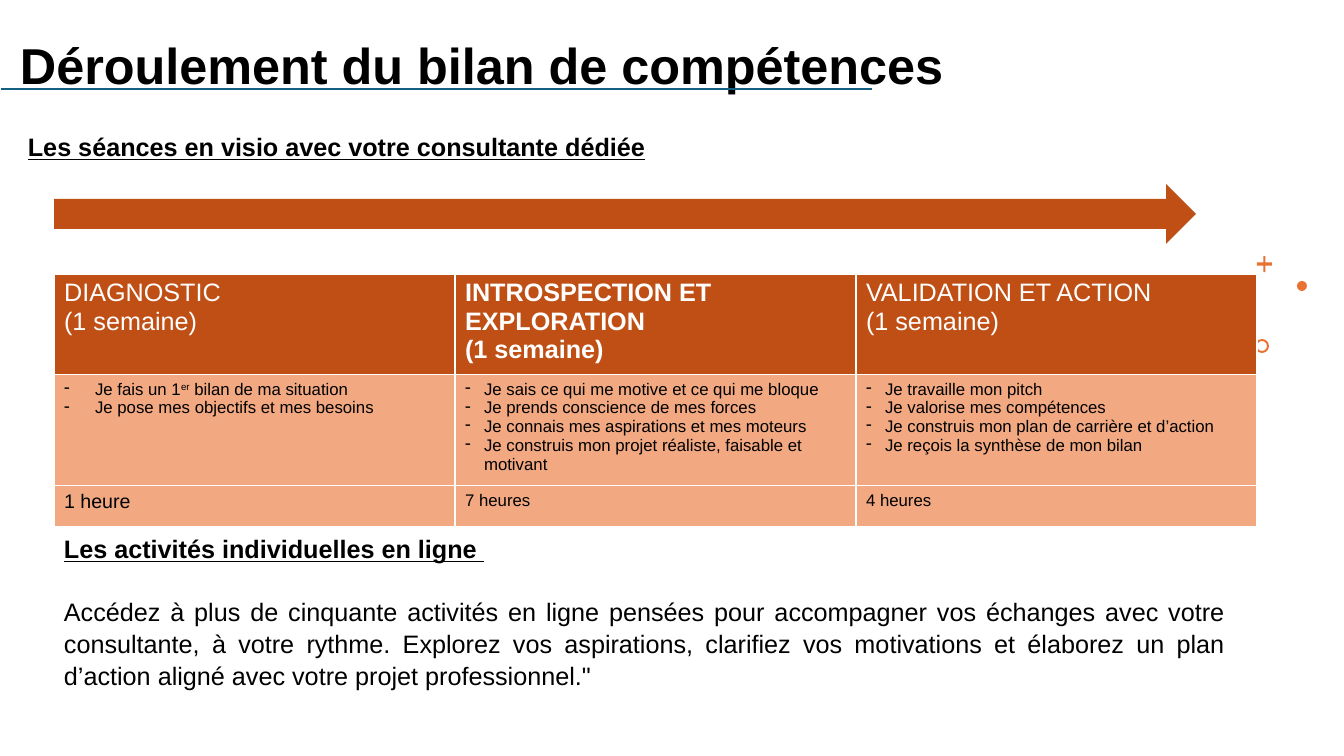
from dataclasses import dataclass

import pptx
import pptx.dml.color
import pptx.enum.shapes
import pptx.enum.text
import pptx.oxml
import pptx.oxml.ns
import pptx.util

SHAPE = pptx.enum.shapes.MSO_SHAPE
ALIGN = pptx.enum.text.PP_ALIGN
ANCHOR = pptx.enum.text.MSO_ANCHOR
EMU_PER_PX = 12192000 / 1344
FONT = "Arial"
BLACK, WHITE = "000000", "FFFFFF"
RUST, PEACH, ORANGE, TEAL = "BF4F14", "F2A982", "E97132", "156082"


@dataclass
class Mark:
    """A filled preset shape."""
    shape: SHAPE
    box: tuple
    color: str
    adjustments: tuple = ()


@dataclass
class Phase:
    """One column of the programme."""
    heading: list
    steps: list
    duration: str
    bold: bool = False
    indent: int = 19
    duration_size: int = 12


MARKS = [
    Mark(SHAPE.CROSS, (1257, 256, 15, 16), ORANGE, (0.43,)),
    Mark(SHAPE.OVAL, (1297, 281, 10, 10), ORANGE),
    Mark(SHAPE.DONUT, (1255, 339, 14, 14), ORANGE, (0.14,)),
    Mark(SHAPE.RIGHT_ARROW, (54, 184, 1142, 60), RUST, (0.5, 0.5)),
]

PHASES = [
    Phase(["DIAGNOSTIC", "(1 semaine)"],
          ["Je fais un 1^er^ bilan de ma situation",
           "Je pose mes objectifs et mes besoins"],
          "1 heure", indent=31, duration_size=14),
    Phase(["INTROSPECTION ET EXPLORATION", "(1 semaine)"],
          ["Je sais ce qui me motive et ce qui me bloque",
           "Je prends conscience de mes forces",
           "Je connais mes aspirations et mes moteurs",
           "Je construis mon projet réaliste, faisable et motivant"],
          "7 heures", bold=True),
    Phase(["VALIDATION ET ACTION", "(1 semaine)"],
          ["Je travaille mon pitch",
           "Je valorise mes compétences",
           "Je construis mon plan de carrière et d’action",
           "Je reçois la synthèse de mon bilan"],
          "4 heures"),
]

ROW_HEIGHTS = (96, 103, 41)
COLUMN_WIDTH = 401


def px(n: int) -> int:
    """Turn px into EMU."""
    return round(n * EMU_PER_PX)


def rgb(color: str) -> pptx.dml.color.RGBColor:
    """Turn a hex string into a colour."""
    return pptx.dml.color.RGBColor.from_string(color)


def fill(target, color: str) -> None:
    """Give a shape or cell a solid fill."""
    target.fill.solid()
    target.fill.fore_color.rgb = rgb(color)


def add_bullet(p, indent: int) -> None:
    """Give a paragraph a hanging dash."""
    pPr = p._p.get_or_add_pPr()
    pPr.set("marL", str(px(indent)))
    pPr.set("indent", str(-px(indent)))
    bullet = pptx.oxml.parse_xml(
        f'<a:buChar {pptx.oxml.ns.nsdecls("a")} char="-"/>')
    pPr.append(bullet)


def write(tf, text: str, *, size: int = 18, color: str = BLACK,
          bold: bool = False, underline: bool = False, align=ALIGN.LEFT,
          spacing: float = 1.0, before: int = 0, indent: int = 0) -> None:
    """Write a paragraph, with superscripts between carets."""
    p = tf.paragraphs[0]
    if p.runs:
        p = tf.add_paragraph()
    p.alignment = align
    p.line_spacing = spacing
    p.space_before = pptx.util.Pt(before)
    if indent:
        add_bullet(p, indent)
    for i, part in enumerate(text.split("^")):
        r = p.add_run()
        r.text = part
        r.font.name = FONT
        r.font.size = pptx.util.Pt(size)
        r.font.bold = bold
        r.font.underline = underline
        r.font.color.rgb = rgb(color)
        if i % 2:
            r._r.get_or_add_rPr().set("baseline", "30000")


def add_text_box(s, box: tuple, anchor=ANCHOR.TOP):
    """Add a wrapping text box and return its text frame."""
    tf = s.shapes.add_textbox(*map(px, box)).text_frame
    tf.word_wrap = True
    tf.vertical_anchor = anchor
    return tf


def add_mark(s, mark: Mark) -> None:
    """Draw one filled shape."""
    sp = s.shapes.add_shape(mark.shape, *map(px, mark.box))
    sp.shadow.inherit = False
    fill(sp, mark.color)
    sp.line.fill.background()
    for i, value in enumerate(mark.adjustments):
        sp.adjustments[i] = value


def add_rule(s) -> None:
    """Draw the line under the title."""
    rule = s.shapes.add_connector(
        pptx.enum.shapes.MSO_CONNECTOR.STRAIGHT, *map(px, (1, 89, 872, 89)))
    rule.line.color.rgb = rgb(TEAL)
    rule.line.width = pptx.util.Pt(2)
    rule._element.spPr.append(pptx.oxml.parse_xml(
        f'<a:effectLst {pptx.oxml.ns.nsdecls("a")}/>'))


def add_programme(s) -> None:
    """Draw the table of phases."""
    box = (54, 274, COLUMN_WIDTH * len(PHASES), sum(ROW_HEIGHTS))
    table = s.shapes.add_table(
        len(ROW_HEIGHTS), len(PHASES), *map(px, box)).table
    table.horz_banding = False
    for row, height in zip(table.rows, ROW_HEIGHTS):
        row.height = px(height)
    for col, phase in enumerate(PHASES):
        table.columns[col].width = px(COLUMN_WIDTH)
        heading, steps, duration = (
            table.cell(row, col) for row in range(len(ROW_HEIGHTS)))
        for cell, color in ((heading, RUST), (steps, PEACH),
                            (duration, PEACH)):
            fill(cell, color)
        for line in phase.heading:
            write(heading.text_frame, line, color=WHITE, bold=phase.bold)
        for step in phase.steps:
            write(steps.text_frame, step, size=12, indent=phase.indent)
        write(duration.text_frame, phase.duration, size=phase.duration_size)


def main() -> None:
    """Build and save the slide."""
    prs = pptx.Presentation()
    prs.slide_width, prs.slide_height = px(1344), px(756)
    s = prs.slides.add_slide(prs.slide_layouts[6])

    title = add_text_box(s, (10, 16, 1321, 84), ANCHOR.BOTTOM)
    write(title, "Déroulement du bilan de compétences", size=36, bold=True,
          spacing=0.9)
    add_rule(s)
    sessions = add_text_box(s, (18, 130, 1260, 610))
    write(sessions, "Les séances en visio avec votre consultante dédiée",
          bold=True, underline=True, spacing=0.9)
    for mark in MARKS:
        add_mark(s, mark)
    add_programme(s)

    activities = add_text_box(s, (54, 527, 1181, 163))
    write(activities, "Les activités individuelles en ligne ", bold=True,
          underline=True, align=ALIGN.JUSTIFY, spacing=1.06)
    write(activities,
          "Accédez à plus de cinquante activités en ligne pensées pour "
          "accompagner vos échanges avec votre consultante, à votre rythme. "
          "Explorez vos aspirations, clarifiez vos motivations et élaborez "
          "un plan d’action aligné avec votre projet professionnel.\"",
          align=ALIGN.JUSTIFY, spacing=1.06, before=22)
    prs.save("out.pptx")


if __name__ == "__main__":
    main()
